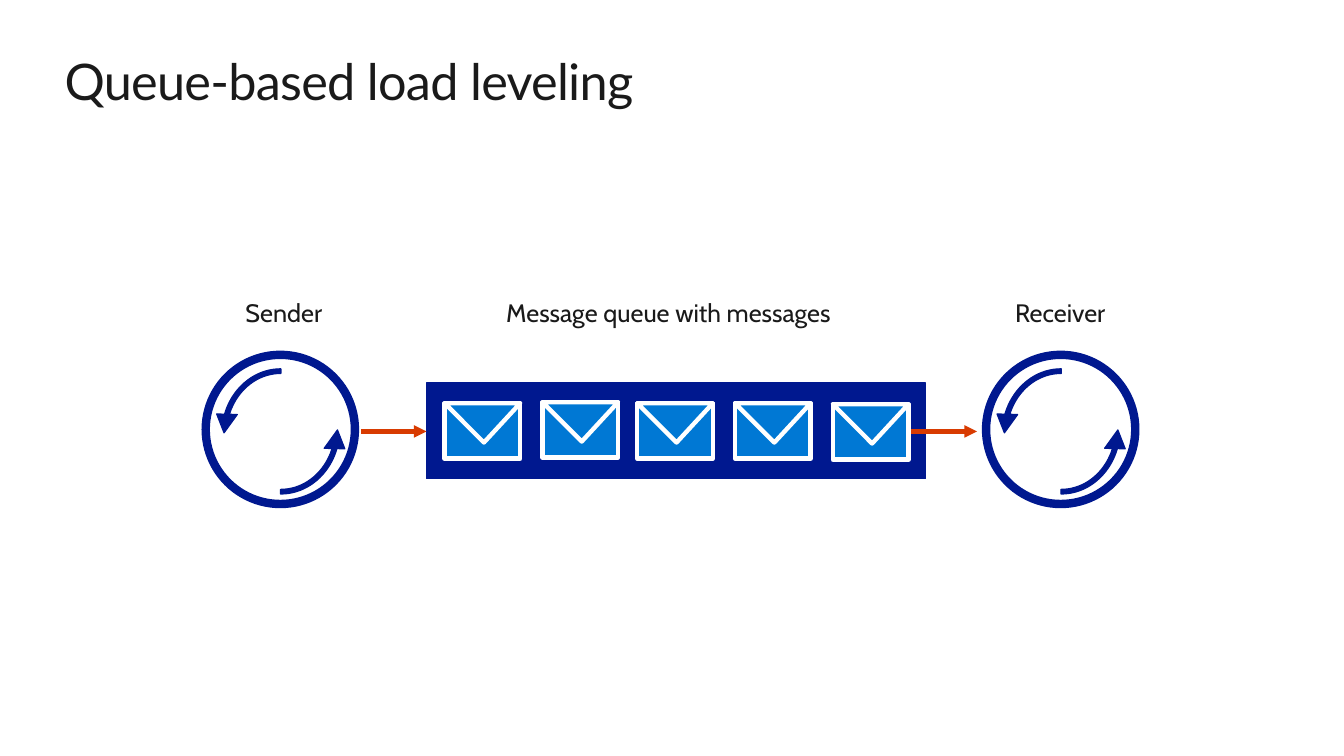
import pptx
import pptx.dml.color
import pptx.enum.shapes
import pptx.enum.text
import pptx.oxml.ns
import pptx.util
from lxml import etree

PX = 9144
NAVY = pptx.dml.color.RGBColor(0x00, 0x18, 0x8F)
BLUE = pptx.dml.color.RGBColor(0x00, 0x78, 0xD4)
ORANGE = pptx.dml.color.RGBColor(0xD8, 0x3B, 0x01)
WHITE = pptx.dml.color.RGBColor(0xFF, 0xFF, 0xFF)
INK = pptx.dml.color.RGBColor(0x1A, 0x1A, 0x1A)
SHAPES = pptx.enum.shapes.MSO_SHAPE
ALIGN = pptx.enum.text.PP_ALIGN
qn = pptx.oxml.ns.qn

presentation = pptx.Presentation()
presentation.slide_width = 1333 * PX
presentation.slide_height = 750 * PX
slide = presentation.slides.add_slide(presentation.slide_layouts[6])


def paint(shape, fill, line, width):
    shape.shadow.inherit = False
    shape.fill.solid()
    shape.fill.fore_color.rgb = fill
    shape.line.color.rgb = line
    shape.line.width = pptx.util.Pt(width)


def add_preset(kind, box, fill, line, width):
    shape = slide.shapes.add_shape(kind, *[length * PX for length in box])
    paint(shape, fill, line, width)
    return shape


TITLE = {"name": "Lato", "size": pptx.util.Pt(36)}
LABEL = {"name": "Cabin", "size": pptx.util.Pt(18)}
texts = [
    ("Queue-based load leveling", (64, 50, 1205, 61), 0, ALIGN.LEFT, TITLE),
    ("Sender", (188, 285, 187, 50), 10, ALIGN.CENTER, LABEL),
    ("Message queue with messages", (466, 285, 394, 50), 10, ALIGN.CENTER, LABEL),
    ("Receiver", (958, 285, 187, 50), 10, ALIGN.CENTER, LABEL),
]
for text, box, inset, alignment, font_format in texts:
    text_box = slide.shapes.add_textbox(*[length * PX for length in box])
    frame = text_box.text_frame
    frame.word_wrap = True
    for side in ("left", "top", "right", "bottom"):
        setattr(frame, f"margin_{side}", inset * PX)
    paragraph = frame.paragraphs[0]
    paragraph.alignment = alignment
    run = paragraph.add_run()
    run.text = text
    run.font.color.rgb = INK
    for name, value in font_format.items():
        setattr(run.font, name, value)
    if font_format is TITLE:
        run.font._element.set("spc", "-50")

add_preset(SHAPES.RECTANGLE, (423, 380, 495, 95), NAVY, NAVY, 0.85)

for left in (204, 978):
    add_preset(SHAPES.OVAL, (left, 352, 148, 148), WHITE, NAVY, 6)
    for top, rotation in ((352, 180), (358, 0)):
        cycle = add_preset(SHAPES.CIRCULAR_ARROW, (left + 8, top, 133, 146), NAVY, NAVY, 0.85)
        cycle.rotation = rotation
        cycle.element.spPr.find(qn("a:xfrm")).set("flipH", "1")
        for index, value in enumerate((0.035, 11.423, 203.668, 161.897, 0.077)):
            cycle.adjustments[index] = value
    add_preset(SHAPES.OVAL, (left + 35, 389, 78, 78), WHITE, WHITE, 0.75)

for left, top in ((441, 400), (538, 399), (632, 400), (729, 400), (826, 401)):
    body = [(75, 0), (75, 55), (0, 55)]
    flap = [(75, 0), (39, 39)]
    for corners in (body, flap):
        builder = slide.shapes.build_freeform(left, top, scale=PX)
        builder.add_line_segments([(left + x, top + y) for x, y in corners], close=True)
        paint(builder.convert_to_shape(), BLUE, WHITE, 3.13)

for left in (358, 904):
    arrow = slide.shapes.add_connector(
        pptx.enum.shapes.MSO_CONNECTOR.STRAIGHT, left * PX, 428 * PX, (left + 65) * PX, 428 * PX
    )
    arrow.line.color.rgb = ORANGE
    arrow.line.width = pptx.util.Pt(3)
    properties = arrow.element.spPr
    etree.SubElement(properties.find(qn("a:ln")), qn("a:tailEnd"), type="triangle")
    etree.SubElement(properties, qn("a:effectLst"))

presentation.save("out.pptx")
